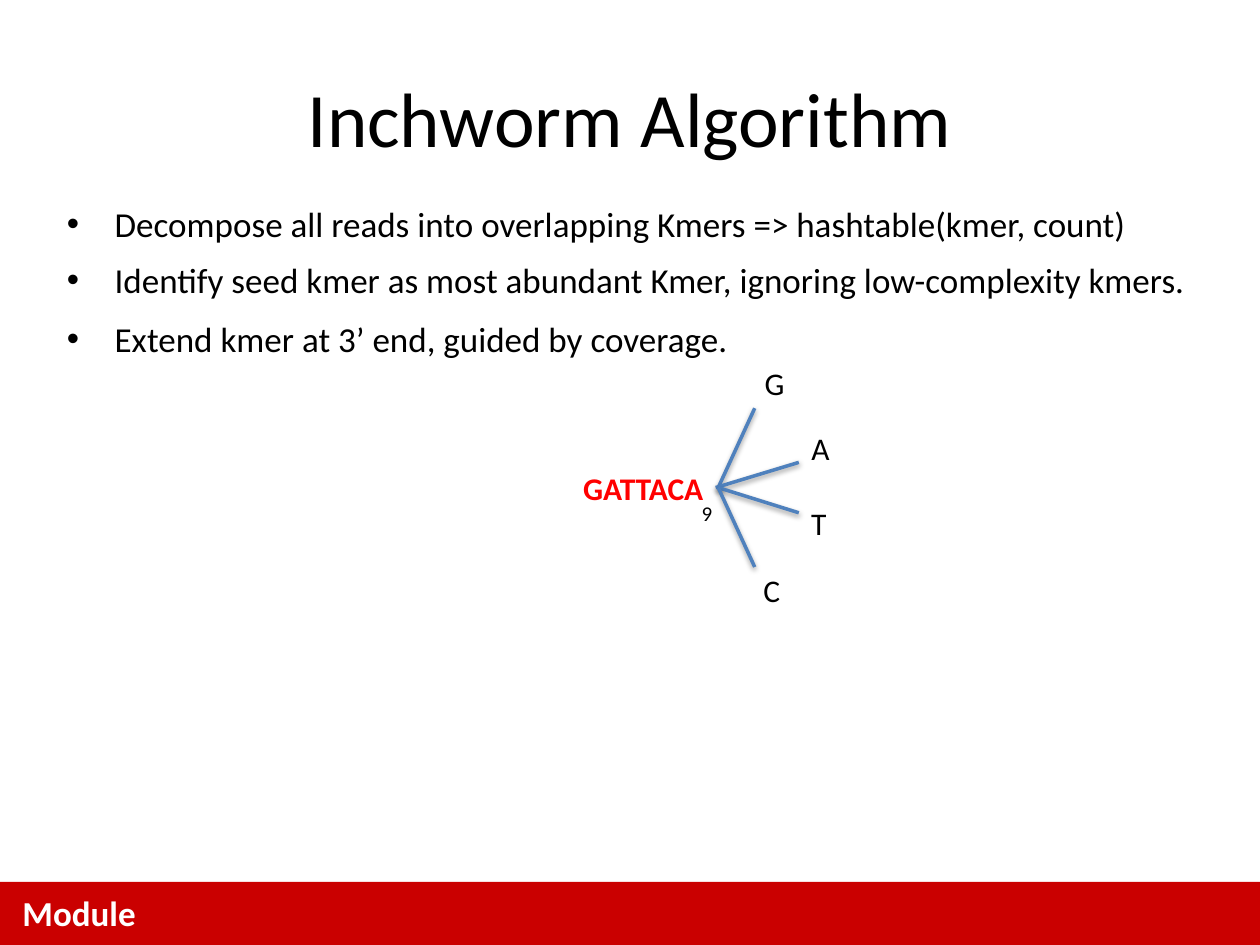
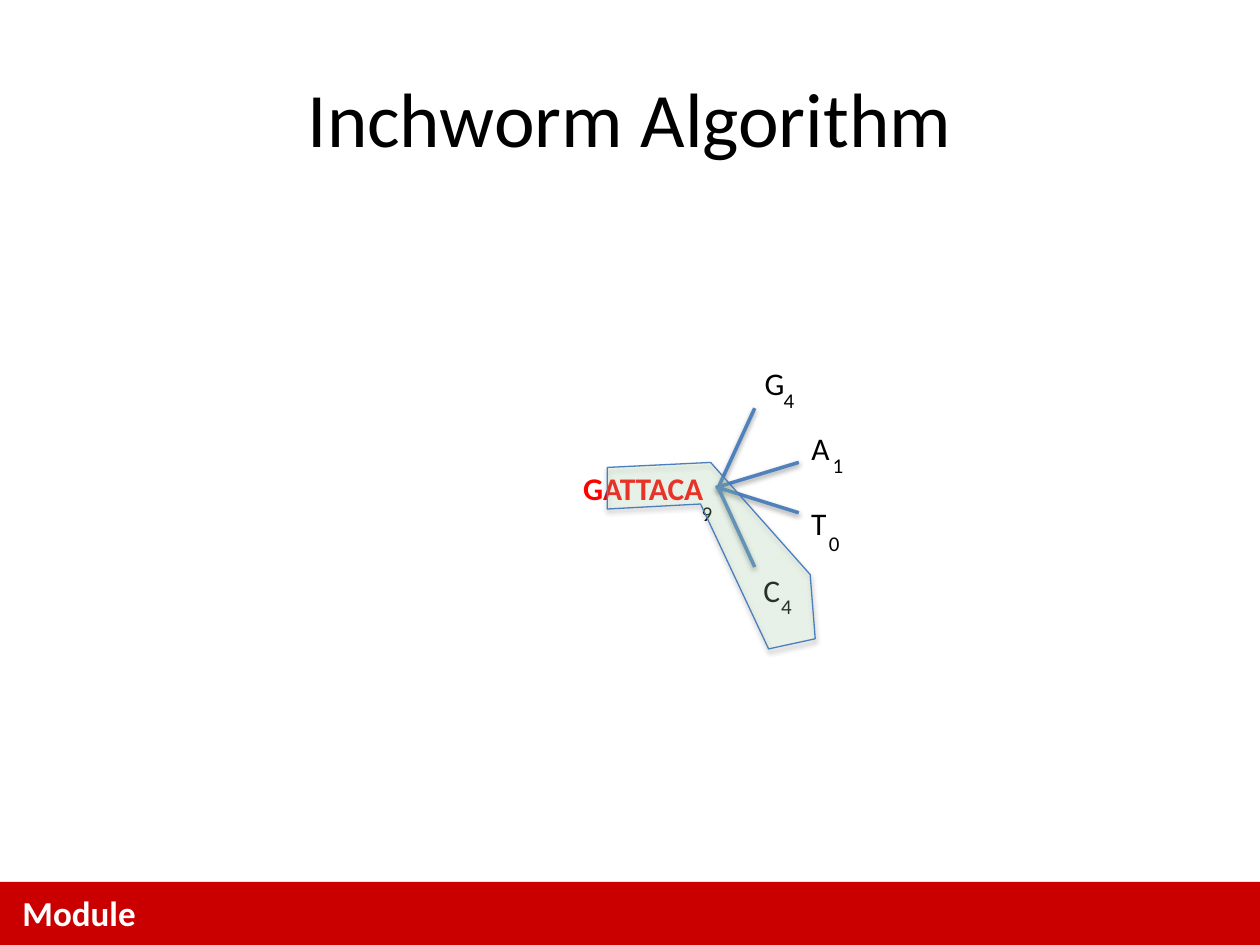
"""Build two slides on the Inchworm k-mer extension algorithm."""
from lxml import etree
from pptx import Presentation
from pptx import util as u
from pptx.dml.color import RGBColor
from pptx.enum import shapes, text
from pptx.oxml import ns

COLORS = {
    "ink": "000000",
    "paper": "FFFFFF",
    "band": "CA0000",
    "seed": "FF0000",
    "branch": "4F81BD",
    "route": "CCFFCC",
    "route_edge": "4B7EBC",
}
FONT = "Calibri"
TITLE = "Inchworm Algorithm"
STEPS = [
    "Decompose all reads into overlapping Kmers => hashtable(kmer, count)",
    "Identify seed kmer as most abundant Kmer, ignoring low-complexity kmers.",
    "Extend kmer at 3’ end, guided by coverage.",
]
BRANCHES = [
    ((5.7, 3.87), (5.99, 3.24)),
    ((5.68, 3.87), (6.34, 3.67)),
    ((5.7, 3.87), (6.34, 4.07)),
    ((5.7, 3.87), (5.99, 4.5)),
]
BASES = [
    ("G", 5.97, 2.84, 0.36),
    ("A", 6.34, 3.36, 0.35),
    ("T", 6.34, 3.95, 0.33),
    ("C", 5.96, 4.48, 0.34),
]
COUNTS = [("4", 6.12, 3.03), ("1", 6.51, 3.54), ("0", 6.48, 4.16), ("4", 6.1, 4.66)]
ROUTE = [(6.47, 5.07), (6.43, 4.56), (5.64, 3.67), (4.82, 3.71),
         (4.82, 4.04), (5.56, 4), (6.1, 5.15)]


def rgb(name):
    return RGBColor.from_string(COLORS[name])


def place(shape, left, top, width, height):
    shape.left, shape.top = u.Inches(left), u.Inches(top)
    shape.width, shape.height = u.Inches(width), u.Inches(height)


def style(font, size, color="ink", bold=False):
    font.name, font.size, font.bold = FONT, u.Pt(size), bold
    font.color.rgb = rgb(color)


def add_shadow(shape, opacity, blur, distance):
    effects = etree.SubElement(shape._element.spPr, ns.qn("a:effectLst"))
    shadow = etree.SubElement(
        effects, ns.qn("a:outerShdw"), blurRad=str(u.Pt(blur)),
        dist=str(u.Pt(distance)), dir="5400000", rotWithShape="0")
    tint = etree.SubElement(shadow, ns.qn("a:srgbClr"), val=COLORS["ink"])
    etree.SubElement(tint, ns.qn("a:alpha"), val=str(opacity * 1000))


def add_label(page, words, left, top, width, height, size,
              color="ink", bold=False, wrap=False):
    box = page.shapes.add_textbox(*map(u.Inches, (left, top, width, height)))
    frame = box.text_frame
    frame.word_wrap = wrap
    frame.auto_size = text.MSO_AUTO_SIZE.SHAPE_TO_FIT_TEXT
    para = frame.paragraphs[0]
    para.text = words
    style(para.font, size, color, bold)


def add_count(page, words, left, top):
    add_label(page, words, left, top, 0.29, 0.3, 12)


def add_branch(page, start, end):
    line = page.shapes.add_connector(
        shapes.MSO_CONNECTOR.STRAIGHT, *map(u.Inches, start + end))
    line.line.color.rgb = rgb("branch")
    line.line.width = u.Pt(2)
    add_shadow(line, 38, 3.1, 1.6)


def add_steps(page):
    body = page.placeholders[1]
    place(body, 0.43, 1.56, 9.3, 1.35)
    frame = body.text_frame
    frame.auto_size = text.MSO_AUTO_SIZE.NONE
    frame.vertical_anchor = text.MSO_ANCHOR.TOP
    frame.text = "\n".join(STEPS)
    for para, gap in zip(frame.paragraphs, (0, 8, 9.5)):
        para.space_before = u.Pt(gap)
        props = para._p.get_or_add_pPr()
        props.set("marL", str(u.Inches(0.38)))
        props.set("indent", str(u.Inches(-0.38)))
        etree.SubElement(props, ns.qn("a:buFont"), typeface="Arial")
        etree.SubElement(props, ns.qn("a:buChar"), char="•")
        style(para.font, 20)


def add_extension(page):
    for start, end in BRANCHES:
        add_branch(page, start, end)
    for base, left, top, width in BASES:
        add_label(page, base, left, top, width, 0.4, 18)
    add_label(page, "GATTACA", 4.53, 3.67, 1.17, 0.4, 18, "seed", True)
    add_count(page, "9", 5.47, 3.92)


def add_route(page):
    start, *corners = [(u.Inches(x), u.Inches(y)) for x, y in ROUTE]
    builder = page.shapes.build_freeform(*start)
    builder.add_line_segments(corners, close=True)
    route = builder.convert_to_shape()
    route.fill.solid()
    route.fill.fore_color.rgb = rgb("route")
    tint = route._element.spPr.find(ns.qn("a:solidFill")).find(ns.qn("a:srgbClr"))
    etree.SubElement(tint, ns.qn("a:alpha"), val="20000")
    route.line.color.rgb = rgb("route_edge")
    route.line.width = u.Pt(0.75)
    add_shadow(route, 35, 3.1, 1.8)


def add_footer(page):
    band = page.shapes.add_shape(
        shapes.MSO_SHAPE.RECTANGLE, *map(u.Inches, (0, 7, 10, 0.5)))
    band.shadow.inherit = False
    band.fill.solid()
    band.fill.fore_color.rgb = rgb("band")
    band.line.fill.background()
    add_label(page, "Module", 0.08, 7.03, 7.33, 0.43, 20, "paper", True, True)


def add_page(deck, layout):
    page = deck.slides.add_slide(deck.slide_layouts.get_by_name(layout))
    title = page.shapes.title
    place(title, 0.5, 0.3, 9, 1.25)
    title.text_frame.vertical_anchor = text.MSO_ANCHOR.MIDDLE
    title.text_frame.text = TITLE
    para = title.text_frame.paragraphs[0]
    para.alignment = text.PP_ALIGN.CENTER
    style(para.font, 44)
    return page


def main():
    deck = Presentation()
    deck.slide_width, deck.slide_height = u.Inches(10), u.Inches(7.5)

    overview = add_page(deck, "Title and Content")
    add_steps(overview)
    add_extension(overview)
    add_footer(overview)

    coverage = add_page(deck, "Title Only")
    add_extension(coverage)
    for count in COUNTS:
        add_count(coverage, *count)
    add_route(coverage)
    add_footer(coverage)

    deck.save("out.pptx")


if __name__ == "__main__":
    main()
